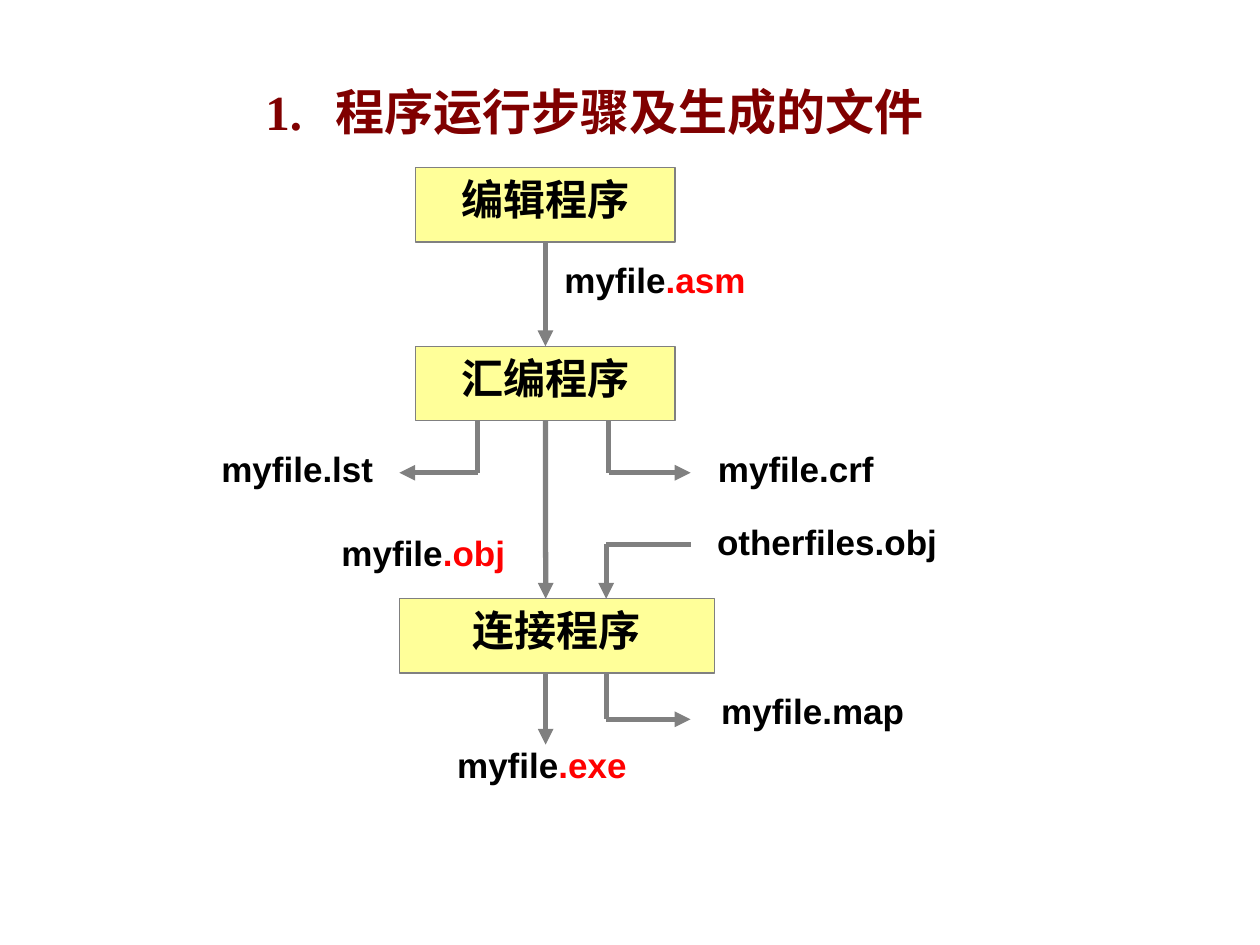
from lxml.etree import SubElement
from pptx import Presentation
from pptx.dml.color import RGBColor
from pptx.enum.shapes import MSO_CONNECTOR, MSO_SHAPE
from pptx.enum.text import MSO_ANCHOR, PP_ALIGN
from pptx.oxml.ns import qn
from pptx.util import Cm, Pt

CJK_FONT = "Noto Sans CJK SC"
GRAY, YELLOW, BLACK, RED, MAROON = "808080", "FFFF99", "000000", "FF0000", "800000"
STAGE_HEIGHT = 1.5
SPINE = 11  # x of the main arrows, in cm
BRANCH_END = 13.92  # x where the right-hand branches end


def color(hex_code):
    return RGBColor.from_string(hex_code)


def format_run(run, size, font, hex_code):
    run.font.size = Pt(size)
    run.font.bold = True
    run.font.color.rgb = color(hex_code)
    run.font.name = font
    SubElement(run.font._element, qn("a:ea"), typeface=CJK_FONT)


def add_title(slide, left, top, width, height):
    title = slide.shapes.add_textbox(Cm(left), Cm(top), Cm(width), Cm(height))
    title.text_frame.word_wrap = True
    title.text_frame.text = "1.\t程序运行步骤及生成的文件"
    paragraph = title.text_frame.paragraphs[0]
    tabs = SubElement(paragraph._p.get_or_add_pPr(), qn("a:tabLst"))
    SubElement(tabs, qn("a:tab"), pos=str(Cm(1.42)), algn="l")
    format_run(paragraph.runs[0], 28, "Times New Roman", MAROON)


def add_stage(slide, left, top, width, name):
    stage = slide.shapes.add_shape(
        MSO_SHAPE.RECTANGLE, Cm(left), Cm(top), Cm(width), Cm(STAGE_HEIGHT))
    stage.shadow.inherit = False
    stage.fill.solid()
    stage.fill.fore_color.rgb = color(YELLOW)
    stage.line.color.rgb = color(GRAY)
    stage.line.width = Pt(0.75)
    stage.text_frame.vertical_anchor = MSO_ANCHOR.TOP
    stage.text_frame.text = name
    paragraph = stage.text_frame.paragraphs[0]
    paragraph.alignment = PP_ALIGN.CENTER
    format_run(paragraph.runs[0], 24, CJK_FONT, BLACK)
    return stage


def add_file(slide, left, top, stem, extension="", width=5.23):
    """File name label; an extension given apart is shown in red."""
    label = slide.shapes.add_textbox(Cm(left), Cm(top), Cm(width), Cm(1.45))
    label.text_frame.word_wrap = True
    paragraph = label.text_frame.paragraphs[0]
    paragraph.alignment = PP_ALIGN.CENTER
    for text, hex_code in ((stem, BLACK), (extension, RED)):
        if text:
            run = paragraph.add_run()
            run.text = text
            format_run(run, 20, "Arial", hex_code)


def add_line(slide, start, end, arrow=True):
    line = slide.shapes.add_connector(
        MSO_CONNECTOR.STRAIGHT, *(Cm(value) for value in (*start, *end)))
    line.line.color.rgb = color(GRAY)
    line.line.width = Pt(3)
    if arrow:
        SubElement(line.line._get_or_add_ln(), qn("a:tailEnd"), type="triangle")
    SubElement(line._element.spPr, qn("a:effectLst"))
    return line


def add_elbow(slide, start, corner, end):
    add_line(slide, start, corner, arrow=False)
    add_line(slide, corner, end)


def add_editing(slide, left, top):
    add_file(slide, left + 2.21, top + 1.7, "myfile", ".asm")
    return add_stage(slide, left, top, 5.23, "编辑程序")


def add_assembling(slide, left, top, editor):
    assembler = add_stage(slide, left, top, 5.23, "汇编程序")
    bottom, corner = top + STAGE_HEIGHT, top + 2.55

    # Source file arriving from the editor
    source = add_line(slide, (SPINE, top - 2), (SPINE, top))
    source.begin_connect(editor, 2)
    source.end_connect(assembler, 0)

    # Object file going on to the linker
    output = add_line(slide, (SPINE, bottom), (SPINE, top + 5.09))
    output.begin_connect(assembler, 2)
    add_file(slide, left - 2.46, top + 3.61, "myfile", ".obj")

    # Listing and cross-reference files
    for x, end in ((left + 1.25, left - 0.33), (left + 3.89, BRANCH_END)):
        add_elbow(slide, (x, bottom), (x, corner), (end, corner))
    add_file(slide, left - 5, top + 1.91, "myfile.lst")
    add_file(slide, left + 4.96, top + 1.91, "myfile.crf", width=5.41)


def add_linking(slide, left, top):
    add_stage(slide, left, top, 6.35, "连接程序")
    bottom, branch = top + STAGE_HEIGHT, left + 4.17

    # Other object files coming in
    add_elbow(slide, (BRANCH_END, top - 1.1), (branch, top - 1.1), (branch, top))
    add_file(slide, left + 5.49, top - 1.71, "otherfiles.obj", width=6.27)

    # Map file
    add_elbow(slide, (branch, bottom), (branch, top + 2.43), (BRANCH_END, top + 2.43))
    add_file(slide, left + 5.72, top + 1.7, "myfile.map")

    # Executable file
    add_line(slide, (SPINE, bottom), (SPINE, top + 2.94))
    add_file(slide, left + 0.26, top + 2.79, "myfile", ".exe")


def main():
    presentation = Presentation()
    presentation.slide_width, presentation.slide_height = Cm(25.4), Cm(19.05)
    slide = presentation.slides.add_slide(presentation.slide_layouts[6])
    add_title(slide, 5.1, 1.52, 15.44, 1.45)
    editor = add_editing(slide, 8.38, 3.38)
    add_assembling(slide, 8.38, 6.98, editor)
    add_linking(slide, 8.05, 12.07)
    presentation.save("out.pptx")


if __name__ == "__main__":
    main()
